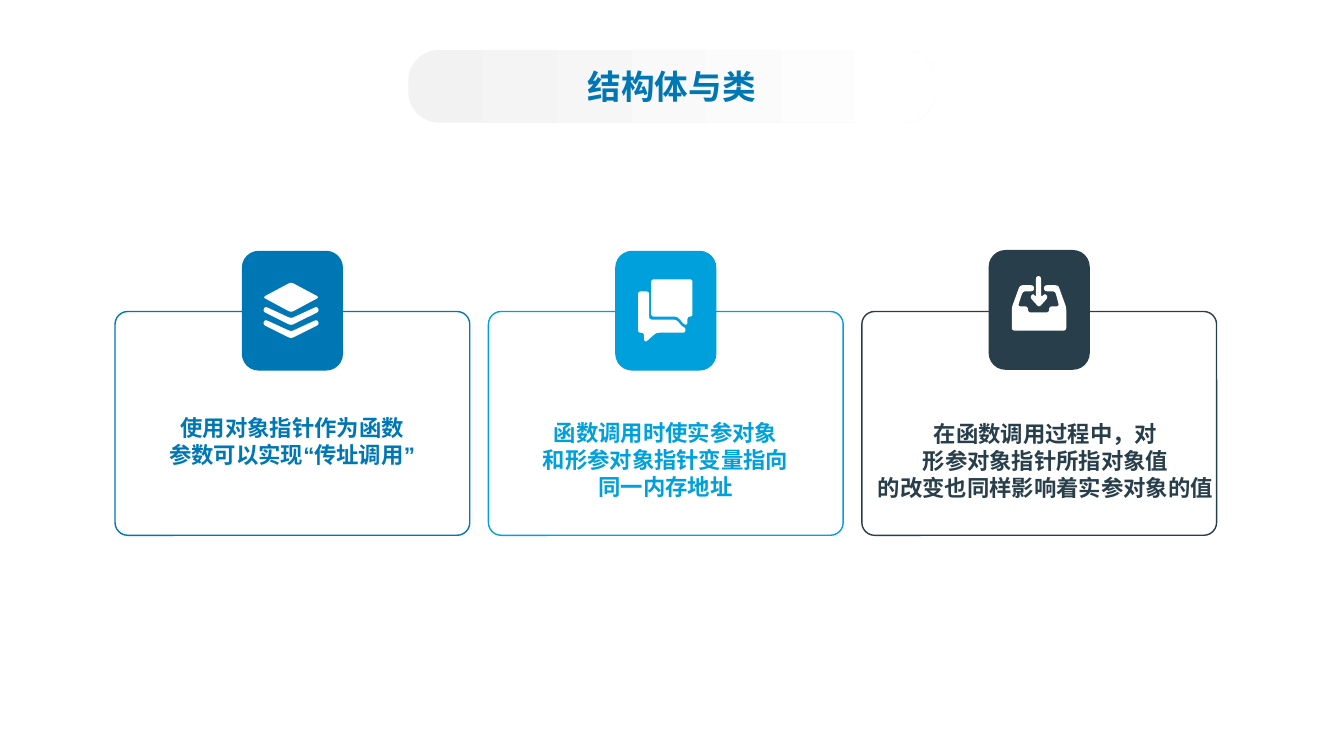
from lxml.etree import SubElement
from pptx import Presentation
from pptx.dml.color import RGBColor
from pptx.enum.shapes import MSO_SHAPE as Shape
from pptx.enum.text import MSO_ANCHOR as Anchor, PP_ALIGN as Align
from pptx.oxml.ns import qn
from pptx.util import Cm, Pt

ICON_UNIT = Cm(0.0254)
CARD_LEFT, CARD_TOP, CARD_PITCH = 2.9, 7.85, 9.41
CARD_WIDTH, CARD_HEIGHT = 8.94, 5.64
BADGE_WIDTH, BADGE_HEIGHT = 2.55, 3.02

CHEVRON = [(1, 24), (27, 36), (53, 24), (55, 29), (27, 43), (-1, 29)]
LAYERS = [
    [(-1, 15), (27, 0), (55, 15), (27, 30)],
    CHEVRON,
    [(x, y + 13) for x, y in CHEVRON],
]
BUBBLES = [
    [(13, 0), (54, 0), (54, 37), (49, 37), (49, 45), (46, 45), (39, 37), (13, 37)],
    [(0, 12), (11, 12), (11, 40), (38, 40), (44, 47), (47, 48), (47, 53),
     (18, 53), (8, 62), (6, 61), (6, 53), (0, 53)],
]
INBOX = [
    [(0, 31), (8, 9), (22, 9), (22, 15), (11, 15), (6, 30), (16, 30), (16, 36),
     (37, 36), (37, 30), (47, 30), (43, 15), (32, 15), (32, 9), (46, 9),
     (54, 31), (54, 54), (0, 54)],
    [(24, 0), (29, 0), (29, 21), (33, 17), (36, 21), (27, 31), (18, 21),
     (21, 17), (24, 21)],
]

CARDS = [
    {"color": "0077B5", "icon": LAYERS, "icon_at": (6.65, 7.11), "badge_top": 6.32,
     "text_top": 10.44, "text_width": 8.13,
     "lines": ["使用对象指针作为函数", "参数可以实现“传址调用”"]},
    {"color": "00A0DC", "icon": BUBBLES, "icon_at": (16.08, 7.04), "badge_top": 6.32,
     "text_top": 10.57, "text_width": 8.13,
     "lines": ["函数调用时使实参对象", "和形参对象指针变量指向", "同一内存地址"]},
    {"color": "283E4A", "icon": INBOX, "icon_at": (25.5, 6.96), "badge_top": 6.3,
     "text_top": 10.59, "text_width": 8.46,
     "lines": ["在函数调用过程中，对", "形参对象指针所指对象值",
               "的改变也同样影响着实参对象的值"]},
]


def rgb(color):
    """Turn a hex string into a colour."""
    return RGBColor.from_string(color)


def paint(shape, fill=None, line=None):
    """Set the fill and outline of a shape and drop its shadow."""
    shape.shadow.inherit = False
    if fill:
        shape.fill.solid()
        shape.fill.fore_color.rgb = rgb(fill)
    else:
        shape.fill.background()
    if line:
        shape.line.color.rgb = rgb(line)
        shape.line.width = Pt(1)
    else:
        shape.line.fill.background()


def add_rounded_box(page, left, top, width, height, corner=0.1667, **colors):
    """Add a rounded rectangle measured in centimetres."""
    box = page.shapes.add_shape(Shape.ROUNDED_RECTANGLE,
                                Cm(left), Cm(top), Cm(width), Cm(height))
    box.adjustments[0] = corner
    paint(box, **colors)
    return box


def write_line(para, text, size, color, font="Arial"):
    """Write one bold centred line of text."""
    para.alignment = Align.CENTER
    span = para.add_run()
    span.text = text
    span.font.name = font
    span.font.size = Pt(size)
    span.font.bold = True
    span.font.color.rgb = rgb(color)
    SubElement(span.font._element, qn("a:ea")).set("typeface", font)


def toward(start, end, reach):
    """Find the point a given reach from start, at most halfway to end."""
    dx, dy = end[0] - start[0], end[1] - start[1]
    share = min(0.5, reach / (dx * dx + dy * dy) ** 0.5)
    return start[0] + dx * share, start[1] + dy * share


def round_corners(outline, radius=3, steps=4):
    """Replace each corner of an outline by a short curve in slide units."""
    points = []
    for index, corner in enumerate(outline):
        before = toward(corner, outline[index - 1], radius)
        after = toward(corner, outline[(index + 1) % len(outline)], radius)
        for step in range(steps + 1):
            t = step / steps
            points.append(tuple(
                ((1 - t) ** 2 * a + 2 * t * (1 - t) * b + t * t * c) * ICON_UNIT
                for a, b, c in zip(before, corner, after)))
    return points


def add_icon(page, outlines, left, top):
    """Draw a white icon made of rounded outlines."""
    curves = [round_corners(outline) for outline in outlines]
    builder = page.shapes.build_freeform(*curves[0][0], scale=1.0)
    builder.add_line_segments(curves[0][1:], close=True)
    for curve in curves[1:]:
        builder.move_to(*curve[0])
        builder.add_line_segments(curve[1:], close=True)
    paint(builder.convert_to_shape(Cm(left), Cm(top)), fill="FFFFFF")


def add_card_text(page, lines, left, top, width, color):
    """Add the unwrapped lines of a card."""
    box = page.shapes.add_textbox(Cm(left), Cm(top), Cm(width), Cm(2.6))
    frame = box.text_frame
    frame.word_wrap = False
    frame.margin_left = frame.margin_right = frame.margin_top = frame.margin_bottom = 0
    for index, text in enumerate(lines):
        para = frame.add_paragraph() if index else frame.paragraphs[0]
        write_line(para, text, 16, color)


def add_card(page, left, card):
    """Add an outlined card with its badge, icon and text."""
    color = card["color"]
    add_rounded_box(page, left, CARD_TOP, CARD_WIDTH, CARD_HEIGHT, corner=0.057, line=color)
    add_rounded_box(page, left + (CARD_WIDTH - BADGE_WIDTH) / 2, card["badge_top"],
                    BADGE_WIDTH, BADGE_HEIGHT, fill=color)
    add_icon(page, card["icon"], *card["icon_at"])
    add_card_text(page, card["lines"], left + 0.4, card["text_top"],
                  card["text_width"], color)


def add_title(page, text):
    """Add the title on a fading rounded band."""
    band = add_rounded_box(page, 10.29, 1.26, 13.28, 1.83, corner=0.423)
    band.fill.gradient()
    band.fill.gradient_angle = 0
    for stop, position, color in zip(band.fill.gradient_stops, (0, 0.99), ("F2F2F2", "FFFFFF")):
        stop.position = position
        stop.color.rgb = rgb(color)
    band.text_frame.vertical_anchor = Anchor.MIDDLE
    write_line(band.text_frame.paragraphs[0], text, 24, "0077B5", font="Noto Sans CJK SC")


def main():
    """Build the slide and save the deck."""
    deck = Presentation()
    deck.slide_width, deck.slide_height = Cm(33.87), Cm(19.05)
    page = deck.slides.add_slide(deck.slide_layouts[6])
    for index, card in enumerate(CARDS):
        add_card(page, CARD_LEFT + index * CARD_PITCH, card)
    add_title(page, "结构体与类")
    deck.save("out.pptx")


if __name__ == "__main__":
    main()
